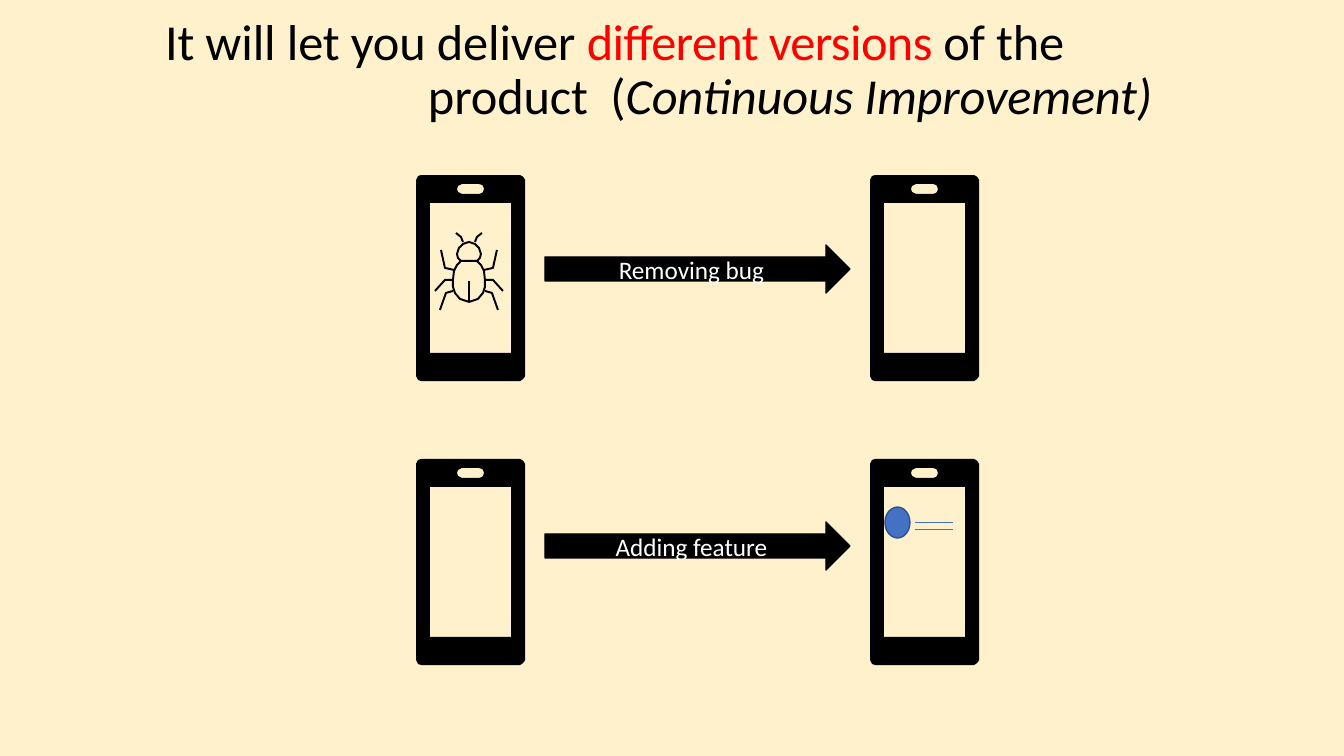
"""Build a slide showing how phone app versions improve continuously."""
import math

import lxml.etree
import pptx
import pptx.dml.color
import pptx.enum.shapes
import pptx.enum.text
import pptx.oxml.ns
import pptx.util

SCALE = 914400 / 100.8
CREAM = pptx.dml.color.RGBColor(0xFF, 0xF1, 0xCC)
BLACK = pptx.dml.color.RGBColor(0, 0, 0)
WHITE = pptx.dml.color.RGBColor(0xFF, 0xFF, 0xFF)
RED = pptx.dml.color.RGBColor(0xFF, 0, 0)
BLUE = pptx.dml.color.RGBColor(0x44, 0x71, 0xC4)
NAVY = pptx.dml.color.RGBColor(0x2E, 0x52, 0x8F)


def emu(*pixels):
    return [pptx.util.Emu(round(value * SCALE)) for value in pixels]


def outline(page, contours, closed):
    builder = page.shapes.build_freeform(*contours[0][0], scale=SCALE)
    for points in contours:
        builder.move_to(*points[0])
        builder.add_line_segments(points[1:], close=closed)
    shape = builder.convert_to_shape()
    shape.shadow.inherit = False
    return shape


deck = pptx.Presentation()
deck.slide_width, deck.slide_height = emu(1344, 756)
page = deck.slides.add_slide(deck.slide_layouts[5])
page.background.fill.solid()
page.background.fill.fore_color.rgb = CREAM

title = page.shapes.title
title.left, title.top, title.width, title.height = emu(163, 8, 1060, 118)
frame = title.text_frame
frame.word_wrap = True
frame.auto_size = pptx.enum.text.MSO_AUTO_SIZE.NONE
frame.vertical_anchor = pptx.enum.text.MSO_ANCHOR.TOP
frame.margin_left, frame.margin_top, frame.margin_right, frame.margin_bottom = emu(0, 8, 0, 0)
para = frame.paragraphs[0]
para.alignment = pptx.enum.text.PP_ALIGN.LEFT
para.line_spacing = pptx.util.Pt(38.9)
para.space_before = pptx.util.Pt(5.8)
hanging, first_line = emu(265, -263)
properties = para._p.get_or_add_pPr()
properties.set("marL", str(hanging))
properties.set("indent", str(first_line))
for text, color, italic, spacing in [
    ("It will let you deliver ", BLACK, False, -10),
    ("different versions ", RED, False, -45),
    ("of the product  (", BLACK, False, -10),
    ("Continuous Improvement)", BLACK, True, -10),
]:
    span = para.add_run()
    span.text = text
    span.font.name = "Calibri"
    span.font.size = pptx.util.Pt(36)
    span.font.color.rgb = color
    span.font.italic = italic
    span._r.get_or_add_rPr().set("spc", str(spacing))

for phone_top in (175, 459):
    for phone_left in (416, 870):
        contours = []
        for left, top, right, bottom, radius in [
            (0, 0, 109, 206, 5),
            (14, 28, 95, 178, 0),
            (41, 9, 68, 19, 5),
        ]:
            contour = []
            for corner, (x, y) in enumerate([
                (right - radius, bottom - radius),
                (left + radius, bottom - radius),
                (left + radius, top + radius),
                (right - radius, top + radius),
            ]):
                for step in range(4 if radius else 1):
                    angle = math.radians(90 * corner + 30 * step)
                    contour.append((phone_left + x + radius * math.cos(angle),
                                    phone_top + y + radius * math.sin(angle)))
            contours.append(contour)
        phone = outline(page, contours, True)
        phone.fill.solid()
        phone.fill.fore_color.rgb = BLACK
        phone.line.fill.background()

bug_center = 469
half_bug = [
    [(456, 233), (461, 237), (463, 242)],
    [(441, 250), (445, 268), (454, 270)],
    [(435, 291), (445, 280), (453, 280)],
    [(440, 310), (446, 293), (453, 291)],
    [(469, 242), (463, 244), (459, 248), (457, 254), (458, 258), (461, 261), (469, 261)],
    [(461, 261), (457, 265), (454, 271), (453, 280), (453, 287), (455, 293), (460, 299), (469, 302)],
]
mirrored = [[(2 * bug_center - x, y) for x, y in points] for points in half_bug]
spine = [(bug_center, 281), (bug_center, 302)]
bug = outline(page, half_bug + mirrored + [spine], False)
bug.fill.background()
bug.line.color.rgb = BLACK
bug.line.width = pptx.util.Pt(1.4)

for arrow_top, label in [(245, "Removing bug"), (522, "Adding feature")]:
    arrow = page.shapes.add_shape(
        pptx.enum.shapes.MSO_SHAPE.RIGHT_ARROW, *emu(545, arrow_top, 305, 48))
    arrow.shadow.inherit = False
    arrow.fill.solid()
    arrow.fill.fore_color.rgb = BLACK
    arrow.line.color.rgb = BLACK
    arrow.line.width = pptx.util.Pt(1)
    frame = arrow.text_frame
    frame.margin_left = frame.margin_top = frame.margin_right = frame.margin_bottom = 0
    frame.vertical_anchor = pptx.enum.text.MSO_ANCHOR.MIDDLE
    frame.text = label
    para = frame.paragraphs[0]
    para.alignment = pptx.enum.text.PP_ALIGN.CENTER
    span = para.runs[0]
    span.font.name = "Calibri"
    span.font.size = pptx.util.Pt(18)
    span.font.color.rgb = WHITE

feature_icon = page.shapes.add_shape(
    pptx.enum.shapes.MSO_SHAPE.OVAL, *emu(885, 507, 25, 31))
feature_icon.shadow.inherit = False
feature_icon.fill.solid()
feature_icon.fill.fore_color.rgb = BLUE
feature_icon.line.color.rgb = NAVY
feature_icon.line.width = pptx.util.Pt(1)

for line_y in (522, 529):
    feature_line = page.shapes.add_connector(
        pptx.enum.shapes.MSO_CONNECTOR.STRAIGHT, *emu(915, line_y, 953, line_y))
    feature_line.line.color.rgb = BLUE
    feature_line.line.width = pptx.util.Pt(0.5)
    lxml.etree.SubElement(feature_line._element.spPr, pptx.oxml.ns.qn("a:effectLst"))

deck.save("out.pptx")
